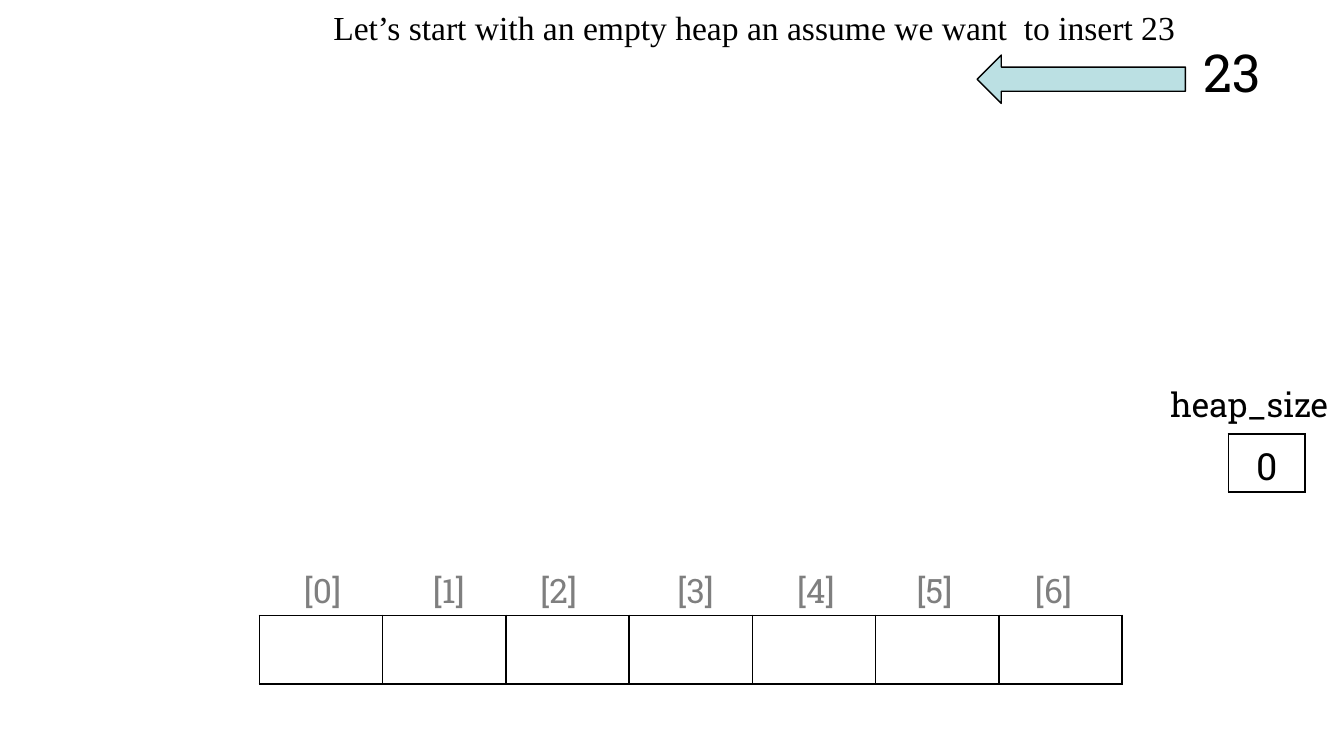
from lxml.etree import SubElement
from pptx import Presentation
from pptx.dml.color import RGBColor
from pptx.enum.shapes import MSO_SHAPE
from pptx.enum.text import MSO_ANCHOR, MSO_AUTO_SIZE, PP_ALIGN
from pptx.oxml.ns import qn
from pptx.util import Inches, Pt

SLAB = "Roboto Slab"
SERIF = "Times New Roman"
BLACK = "000000"
GREY = "7F7F7F"
PALE_TEAL = "BBE0E3"
SLIDE_WIDTH = 10
SLIDE_HEIGHT = SLIDE_WIDTH * 9 / 16
SLOTS = 7
SLOT_WIDTH = 6.42 / SLOTS
INDEX_STOPS = (0.96, 1.76, 2.78, 3.67, 4.56, 5.44)


def color(value):
    """Turn a hex string into a colour."""
    return RGBColor.from_string(value)


def style(para, size, font=SLAB, ink=BLACK, align=PP_ALIGN.LEFT):
    """Format a whole paragraph."""
    para.alignment = align
    para.font.size = Pt(size)
    para.font.name = font
    para.font.color.rgb = color(ink)


def set_title(slide, text, left, top, width, height):
    """Move, fill and format the title placeholder."""
    title = slide.shapes.title
    title.left, title.top = Inches(left), Inches(top)
    title.width, title.height = Inches(width), Inches(height)
    frame = title.text_frame
    frame.auto_size = MSO_AUTO_SIZE.NONE
    frame.vertical_anchor = MSO_ANCHOR.TOP
    frame.text = text
    style(frame.paragraphs[0], 18, SERIF)


def add_label(slide, text, left, top, width, height, size, ink=BLACK, stops=(), wrap=False):
    """Add a one-line text box, with tab stops in inches if given."""
    box = slide.shapes.add_textbox(Inches(left), Inches(top), Inches(width), Inches(height))
    frame = box.text_frame
    frame.word_wrap = wrap
    para = frame.paragraphs[0]
    para.text = text
    if stops:
        tabs = SubElement(para._p.get_or_add_pPr(), qn("a:tabLst"))
        for stop in stops:
            SubElement(tabs, qn("a:tab"), pos=str(Inches(stop)), algn="l")
    style(para, size, ink=ink)


def set_borders(cell, sides):
    """Draw thin black lines on the given sides of a cell and hide the others."""
    properties = cell._tc.get_or_add_tcPr()
    for side in "LRTB":
        line = SubElement(properties, qn(f"a:ln{side}"), w=str(Pt(1)))
        if side in sides:
            fill = SubElement(line, qn("a:solidFill"))
            SubElement(fill, qn("a:srgbClr"), val=BLACK)
        else:
            SubElement(line, qn("a:noFill"))


def add_grid(slide, left, top, column_widths, row_heights, row_borders):
    """Add an unfilled table whose borders are given row by row."""
    frame = slide.shapes.add_table(
        len(row_heights), len(column_widths), Inches(left), Inches(top),
        Inches(sum(column_widths)), Inches(sum(row_heights)))
    table = frame.table
    table.first_row = table.horz_banding = False
    for column, width in zip(table.columns, column_widths):
        column.width = Inches(width)
    for row, height, sides in zip(table.rows, row_heights, row_borders):
        row.height = Inches(height)
        for cell in row.cells:
            set_borders(cell, sides)
            cell.fill.background()
    return table


def add_left_arrow(slide, left, top, width, height):
    """Add the block arrow that points into the heap."""
    arrow = slide.shapes.add_shape(
        MSO_SHAPE.LEFT_ARROW, Inches(left), Inches(top), Inches(width), Inches(height))
    arrow.shadow.inherit = False
    arrow.fill.solid()
    arrow.fill.fore_color.rgb = color(PALE_TEAL)
    arrow.line.color.rgb = color(BLACK)
    arrow.line.width = Pt(0.75)


def add_size_counter(slide):
    """Add the heap size cell and its caption."""
    counter = add_grid(slide, 9.14, 2.83, [0.57], [0.4, 0.43], ["B", "LRTB"])
    cell = counter.cell(1, 0)
    cell.margin_bottom = 0
    cell.text = "0"
    style(cell.text_frame.paragraphs[0], 20, align=PP_ALIGN.CENTER)
    add_label(slide, "heap_size", 8.61, 2.81, 1.39, 0.4, 18)


def main():
    """Build the slide and save it."""
    deck = Presentation()
    deck.slide_width, deck.slide_height = Inches(SLIDE_WIDTH), Inches(SLIDE_HEIGHT)
    slide = deck.slides.add_slide(deck.slide_layouts[5])
    set_title(slide, "Let’s start with an empty heap an assume we want  to insert 23",
              2.38, 0, 7.62, 0.4)
    add_grid(slide, 1.93, 4.58, [SLOT_WIDTH] * SLOTS, [0.51], ["LRTB"])
    indexes = "\t".join(f"[{slot}]" for slot in range(SLOTS))
    add_label(slide, indexes, 2.16, 4.19, 7.02, 0.4, 18, GREY, INDEX_STOPS, wrap=True)
    add_label(slide, "23", 8.86, 0.25, 0.63, 0.57, 28)
    add_left_arrow(slide, 7.27, 0.41, 1.55, 0.36)
    add_size_counter(slide)
    deck.save("out.pptx")


if __name__ == "__main__":
    main()
